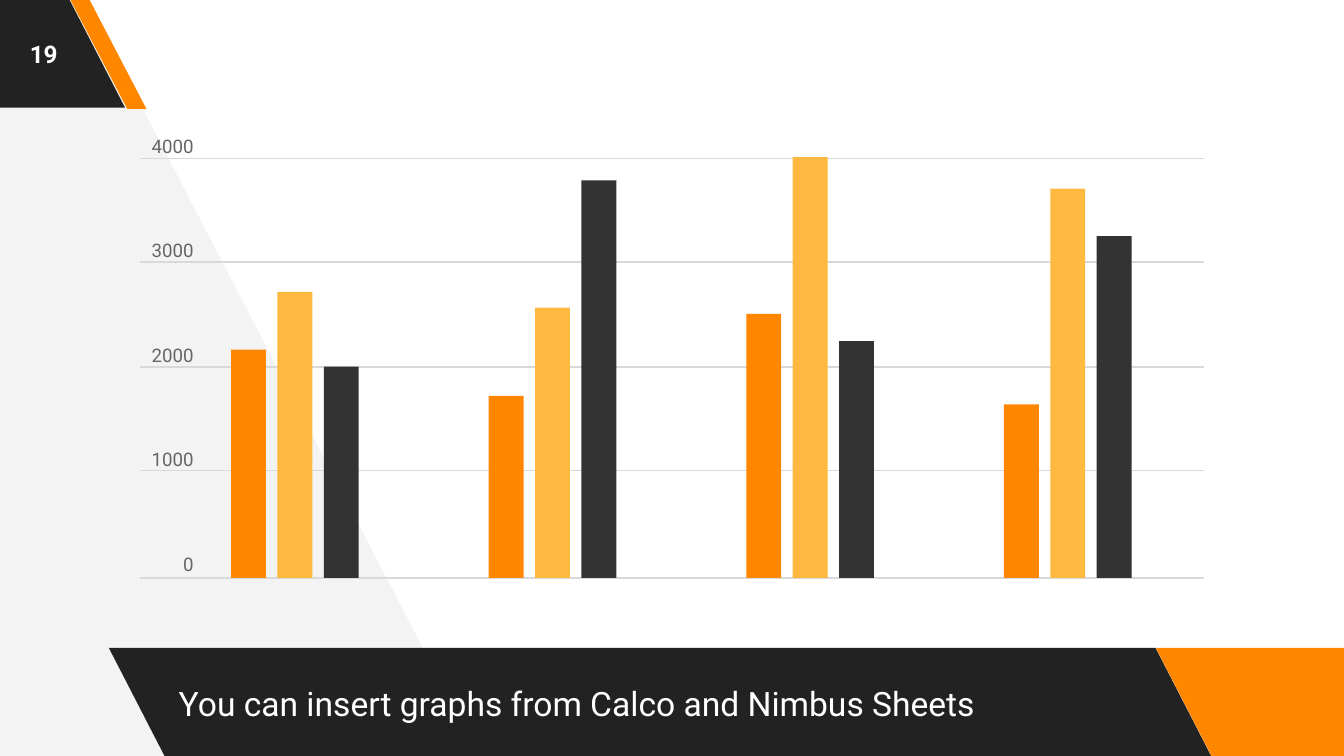
from dataclasses import dataclass
from pptx import Presentation
from pptx.dml.color import RGBColor
from pptx.enum.shapes import MSO_CONNECTOR, MSO_SHAPE
from pptx.enum.text import MSO_ANCHOR, MSO_AUTO_SIZE, PP_ALIGN
from pptx.oxml.ns import qn
from pptx.util import Inches, Pt
from lxml.etree import SubElement


@dataclass(frozen=True)
class Theme:
    font: str = "Roboto"
    white: str = "FFFFFF"
    pale: str = "F3F3F3"
    dark: str = "222222"
    orange: str = "FF8700"
    amber: str = "FFB840"
    coal: str = "333333"
    grid: str = "D9D9D9"
    label: str = "666666"
    body: float = 18
    page: float = 13
    axis: float = 10


THEME = Theme()
WIDE = 10
HIGH = WIDE * 9 / 16
BASE = 4.3
UNIT = 3.13 / 4000
STEP = 0.69 / 2
GAP = 5.75 / 3
LINES = (1.18, 1.95, 2.73, 3.5, BASE)
TICKS = (4000, 3000, 2000, 1000, 0)
GROUPS = (
    (2170, 2720, 2010),
    (1730, 2570, 3780),
    (2510, 4000, 2250),
    (1650, 3700, 3250),
)


def paint(shape, color):
    shape.shadow.inherit = False
    shape.fill.solid()
    shape.fill.fore_color.rgb = RGBColor.from_string(color)
    shape.line.fill.background()


def add_block(slide, kind, box, color):
    shape = slide.shapes.add_shape(kind, *map(Inches, box))
    paint(shape, color)
    return shape


def add_slant(slide, box, color, slope=0.515):
    shape = add_block(slide, MSO_SHAPE.PARALLELOGRAM, box, color)
    shape.adjustments[0] = slope
    shape._element.spPr.xfrm.set("flipH", "1")


def add_wedge(slide):
    pen = slide.shapes.build_freeform(Inches(3.56), Inches(5.62))
    points = ((0.62, -0.04), (-0.06, -0.04), (-0.02, 5.66))
    pen.add_line_segments([(Inches(x), Inches(y)) for x, y in points], close=True)
    paint(pen.convert_to_shape(), THEME.pale)


def add_line(slide, y):
    line = slide.shapes.add_connector(
        MSO_CONNECTOR.STRAIGHT, Inches(1.04), Inches(y), Inches(8.96), Inches(y))
    line.line.color.rgb = RGBColor.from_string(THEME.grid)
    line.line.width = Pt(0.75)
    SubElement(line._element.spPr, qn("a:effectLst"))


def set_text(shape, text, size, color, align, inset=0.1, anchor=MSO_ANCHOR.MIDDLE, bold=False):
    frame = shape.text_frame
    frame.text = text
    frame.word_wrap = True
    frame.auto_size = MSO_AUTO_SIZE.NONE
    frame.vertical_anchor = anchor
    frame.margin_left = frame.margin_right = Inches(inset)
    frame.margin_top = frame.margin_bottom = Inches(inset)
    for par in frame.paragraphs:
        par.alignment = align
        for run in par.runs:
            font = run.font
            font.name, font.size, font.bold = THEME.font, Pt(size), bold
            font.color.rgb = RGBColor.from_string(color)
    return frame


def add_text(slide, box, *args, **style):
    return set_text(slide.shapes.add_textbox(*map(Inches, box)), *args, **style)


def add_frame(slide):
    add_wedge(slide)
    add_slant(slide, (0.81, 4.82, 8.21, 0.82), THEME.dark)
    add_slant(slide, (8.6, 4.82, 1.92, 0.82), THEME.orange)
    add_slant(slide, (-0.99, -0.02, 1.92, 0.82), THEME.dark)
    add_slant(slide, (0.52, -0.01, 0.57, 0.82), THEME.orange, 0.75)


def set_body(slide):
    title, body = slide.shapes.title, slide.placeholders[1]
    title._element.getparent().remove(title._element)
    slide.shapes._spTree.append(body._element)
    body.left, body.top, body.width, body.height = map(Inches, (1.23, 4.82, 7.37, 0.82))
    frame = set_text(body, "You can insert graphs from Calco and Nimbus Sheets",
                     THEME.body, THEME.white, PP_ALIGN.LEFT)
    frame.paragraphs[0].space_before = Pt(3.6)


def add_axis(slide):
    for y in LINES:
        add_line(slide, y)
    frame = add_text(slide, (1.04, 1, 0.4, 3.31), "\n".join(map(str, TICKS)),
                     THEME.axis, THEME.label, PP_ALIGN.RIGHT, inset=0, anchor=MSO_ANCHOR.TOP)
    for par in frame.paragraphs[1:]:
        par.space_before = Pt(44)
    frame.paragraphs[-1].space_after = Pt(44)


def add_bars(slide):
    colors = (THEME.orange, THEME.amber, THEME.coal)
    for group, values in enumerate(GROUPS):
        for item, (value, color) in enumerate(zip(values, colors)):
            tall = value * UNIT
            left = 1.72 + GAP * group + STEP * item
            add_block(slide, MSO_SHAPE.RECTANGLE, (left, BASE - tall, 0.26, tall), color)


def main():
    deck = Presentation()
    deck.slide_width, deck.slide_height = Inches(WIDE), Inches(HIGH)
    slide = deck.slides.add_slide(deck.slide_layouts[2])
    add_frame(slide)
    set_body(slide)
    add_text(slide, (0, 0, 0.65, 0.8), "19", THEME.page, THEME.white,
             PP_ALIGN.CENTER, bold=True)
    add_axis(slide)
    add_bars(slide)
    deck.save("out.pptx")


main()
